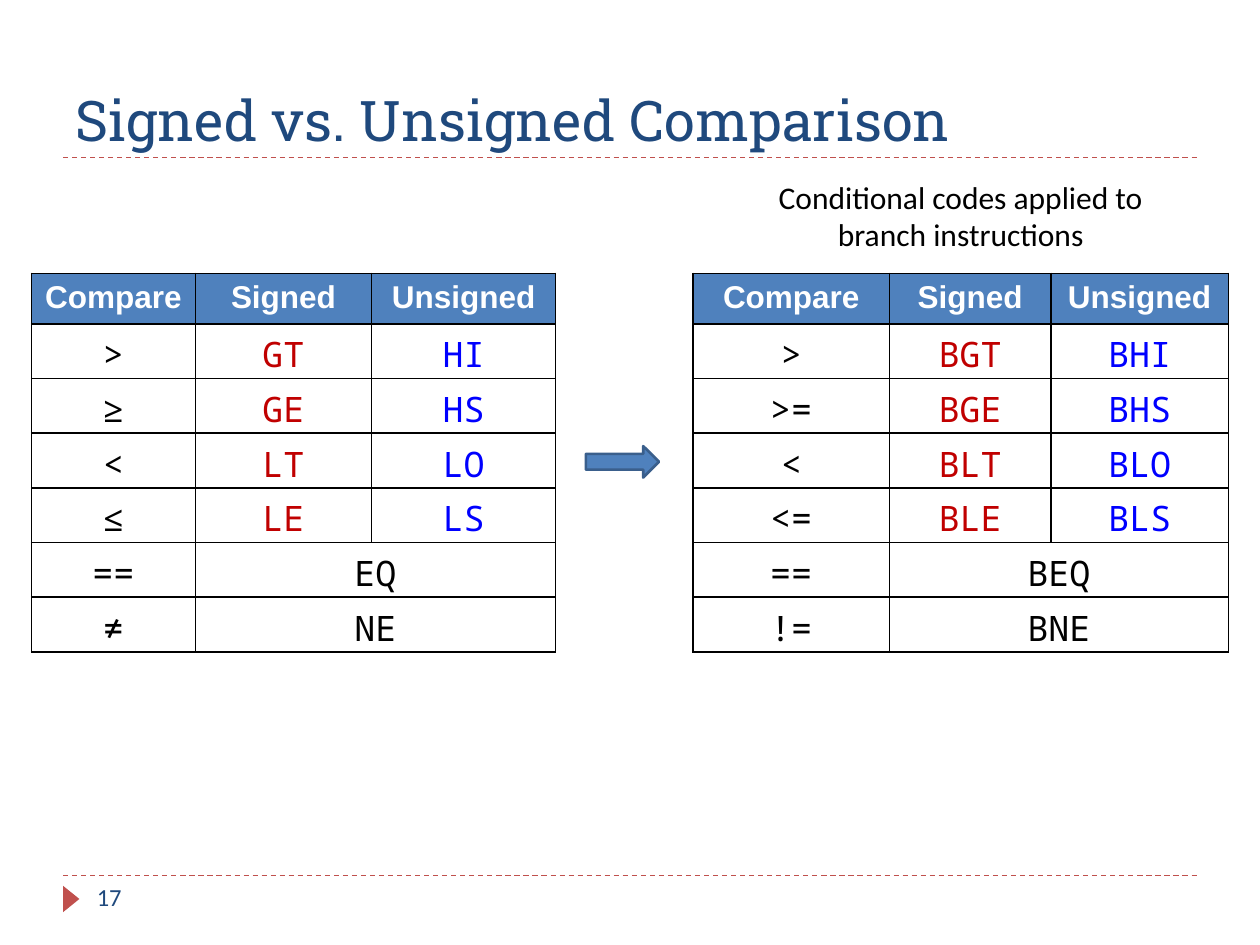
from lxml.etree import SubElement
from pptx import Presentation
from pptx.dml.color import RGBColor
from pptx.enum.dml import MSO_LINE
from pptx.enum.shapes import MSO_CONNECTOR, MSO_SHAPE
from pptx.enum.text import MSO_ANCHOR, PP_ALIGN
from pptx.oxml.ns import qn
from pptx.util import Inches, Pt

NAVY = RGBColor(0x1F, 0x49, 0x7D)
BLUE = RGBColor(0x4F, 0x81, 0xBD)
ARROW_EDGE = RGBColor(0x3A, 0x5F, 0x8C)
BRICK = RGBColor(0xC0, 0x50, 0x4D)
SIGNED_RED = RGBColor(0xC0, 0x00, 0x00)
UNSIGNED_BLUE = RGBColor(0x00, 0x00, 0xFF)
BLACK = RGBColor(0, 0, 0)
WHITE = RGBColor(0xFF, 0xFF, 0xFF)

HEADER = ("Compare", "Signed", "Unsigned")
CODES = (("GT", "HI"), ("GE", "HS"), ("LT", "LO"), ("LE", "LS"), ("EQ",), ("NE",))
COLUMN_COLORS = (BLACK, SIGNED_RED, UNSIGNED_BLUE)
# left edge, column widths, operators, prefix of every code
TABLES = (
    (5.5, (1.56, 1.28, 1.41), (">", ">=", "<", "<=", "==", "!="), "B"),
    (0.25, (1.3, 1.4, 1.46), (">", "≥", "<", "≤", "==", "≠"), ""),
)


def set_text(frame, text, font_name, size, color, align=PP_ALIGN.LEFT):
    frame.word_wrap = True
    para = frame.paragraphs[0]
    para.text = text
    para.alignment = align
    para.font.name = font_name
    para.font.size = Pt(size)
    para.font.color.rgb = color
    para.font.bold = False


def add_borders(cell):
    properties = cell._tc.get_or_add_tcPr()
    for side in ("a:lnL", "a:lnR", "a:lnT", "a:lnB"):
        border = SubElement(properties, qn(side), w=str(Pt(1)))
        fill = SubElement(border, qn("a:solidFill"))
        SubElement(fill, qn("a:srgbClr"), val=str(BLACK))


deck = Presentation()
deck.slide_width, deck.slide_height = Inches(10), Inches(7.5)
page = deck.slides.add_slide(deck.slide_layouts[5])
shapes = page.shapes

# Rules and page marker
for y in (6.95, 1.25):
    rule = shapes.add_connector(
        MSO_CONNECTOR.STRAIGHT, Inches(0.5), Inches(y), Inches(9.5), Inches(y))
    rule.line.color.rgb = BRICK
    rule.line.width = Pt(0.75)
    rule.line.dash_style = MSO_LINE.DASH
    SubElement(rule._element.spPr, qn("a:effectLst"))

marker = shapes.add_shape(
    MSO_SHAPE.ISOSCELES_TRIANGLE, Inches(0.46), Inches(7.07), Inches(0.21), Inches(0.13))
marker.rotation = 90
marker.shadow.inherit = False
marker.fill.solid()
marker.fill.fore_color.rgb = BRICK
marker.line.fill.background()

# Title, page number and caption
title = shapes.title
title.left, title.top = Inches(0.5), Inches(0.01)
title.width, title.height = Inches(8.5), Inches(1.25)
title.text_frame.vertical_anchor = MSO_ANCHOR.BOTTOM
set_text(title.text_frame, "Signed vs. Unsigned Comparison", "Roboto Slab", 32, NAVY)

number = shapes.add_textbox(Inches(0.67), Inches(6.95), Inches(2.17), Inches(0.4))
set_text(number.text_frame, "17", "Calibri", 14, NAVY)

caption = shapes.add_textbox(Inches(5.77), Inches(1.36), Inches(3.71), Inches(0.71))
set_text(caption.text_frame, "Conditional codes applied to branch instructions",
         "Calibri", 18, BLACK, PP_ALIGN.CENTER)

# Arrow from condition codes to branch instructions
arrow = shapes.add_shape(
    MSO_SHAPE.RIGHT_ARROW, Inches(4.65), Inches(3.54), Inches(0.58), Inches(0.25))
arrow.shadow.inherit = False
arrow.fill.solid()
arrow.fill.fore_color.rgb = BLUE
arrow.line.color.rgb = ARROW_EDGE
arrow.line.width = Pt(1.5)

# Comparison tables
for left, widths, operators, prefix in TABLES:
    rows = [HEADER]
    for operator, codes in zip(operators, CODES):
        rows.append((operator, *(prefix + code for code in codes)))
    table = shapes.add_table(
        len(rows), len(widths), Inches(left), Inches(2.17),
        Inches(sum(widths)), Inches(3)).table
    for column, width in zip(table.columns, widths):
        column.width = Inches(width)
    for r, texts in enumerate(rows):
        is_header = r == 0
        is_merged = len(texts) < len(widths)
        table.rows[r].height = Inches(0.4 if is_header else 0.43)
        for c in range(len(widths)):
            cell = table.cell(r, c)
            add_borders(cell)
            if is_header:
                cell.fill.solid()
                cell.fill.fore_color.rgb = BLUE
            else:
                cell.fill.background()
        if is_merged:
            table.cell(r, 1).merge(table.cell(r, 2))
        for c, text in enumerate(texts):
            frame = table.cell(r, c).text_frame
            if is_header:
                set_text(frame, text, "Arial", 18, WHITE, PP_ALIGN.CENTER)
                frame.paragraphs[0].font.bold = True
            else:
                color = BLACK if is_merged else COLUMN_COLORS[c]
                set_text(frame, text, "Noto Sans Mono", 20, color, PP_ALIGN.CENTER)

deck.save("out.pptx")
